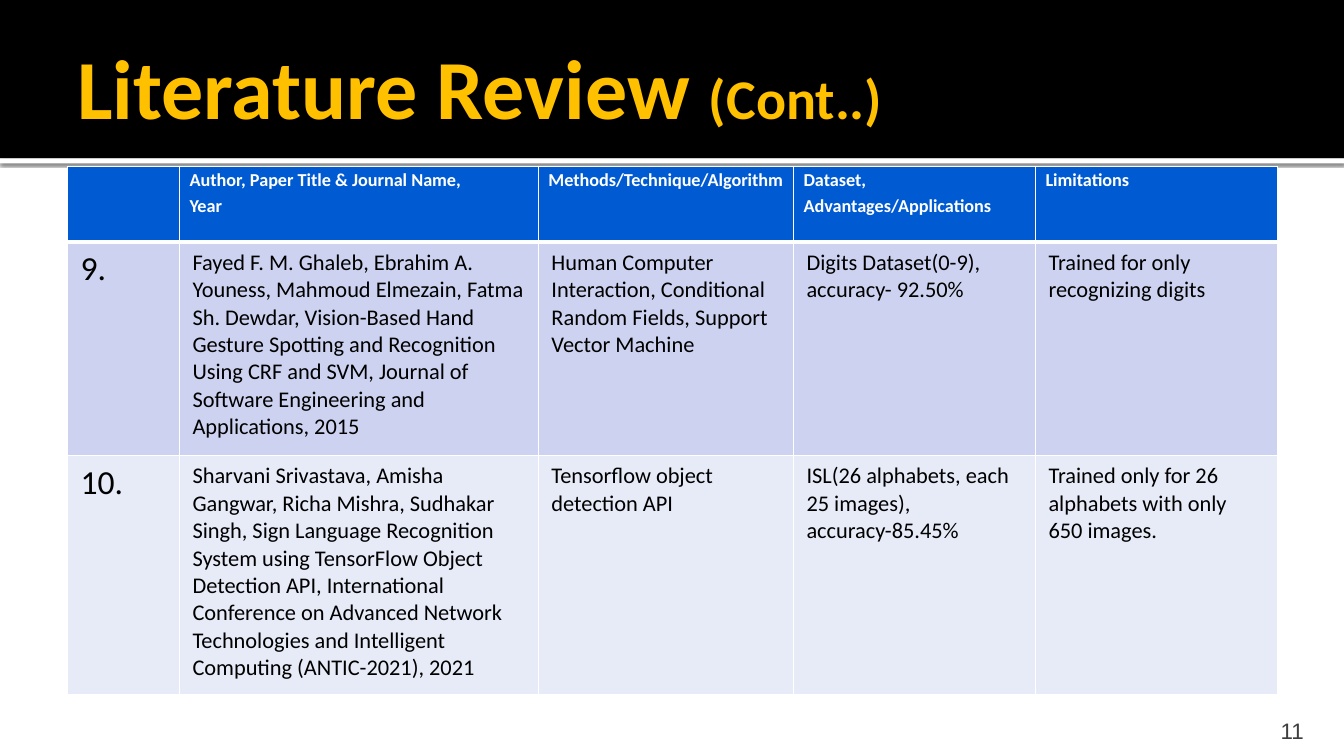
from dataclasses import dataclass

import lxml.etree
import pptx
import pptx.dml.color
import pptx.enum.shapes
import pptx.enum.text
import pptx.oxml
import pptx.oxml.ns
import pptx.util

EMU_PER_PX = 9144  # 100 px to the inch
COLORS = {
    "black": "000000", "white": "FFFFFF", "title": "FFC000", "number": "3F3F3F",
    "header": "005BD3", "odd row": "CCD2EF", "even row": "E7EAF7",
}
ANCHOR = pptx.enum.text.MSO_ANCHOR
ALIGN = pptx.enum.text.PP_ALIGN


@dataclass
class Area:
    left: int
    top: int
    width: int
    height: int

    def emu(self) -> list[int]:
        return [px(n) for n in (self.left, self.top, self.width, self.height)]


@dataclass
class Style:
    size: int
    color: str
    bold: bool = False
    font: str = "Calibri"


@dataclass
class TableRow:
    height: int
    fill: str
    texts: list[str]
    styles: list[Style]
    inset_x: int
    inset_y: int
    spacing: float | None = None


def px(count: int) -> int:
    return pptx.util.Emu(count * EMU_PER_PX)


def rgb(name: str) -> pptx.dml.color.RGBColor:
    return pptx.dml.color.RGBColor.from_string(COLORS[name])


def style_span(span, style: Style) -> None:
    span.font.size = pptx.util.Pt(style.size)
    span.font.name = style.font
    span.font.bold = style.bold
    span.font.color.rgb = rgb(style.color)


def add_bar(page, area: Area, color: str):
    bar = page.shapes.add_shape(pptx.enum.shapes.MSO_SHAPE.RECTANGLE, *area.emu())
    bar.shadow.inherit = False
    bar.fill.solid()
    bar.fill.fore_color.rgb = rgb(color)
    bar.line.fill.background()
    return bar


def add_drop_shadow(bar) -> None:
    effects = bar._element.spPr.find(pptx.oxml.ns.qn("a:effectLst"))
    effects.append(pptx.oxml.parse_xml(
        f'<a:outerShdw {pptx.oxml.ns.nsdecls("a")} blurRad="31750" dist="10160" '
        f'dir="5400000" rotWithShape="0"><a:srgbClr val="{COLORS["black"]}">'
        '<a:alpha val="60000"/></a:srgbClr></a:outerShdw>'))


def add_text(page, area: Area, spans: list[tuple[str, Style]], anchor,
             align, insets: tuple[int, int, int, int]) -> None:
    frame = page.shapes.add_textbox(*area.emu()).text_frame
    frame.word_wrap = True
    frame.vertical_anchor = anchor
    (frame.margin_left, frame.margin_top,
     frame.margin_right, frame.margin_bottom) = map(px, insets)
    para = frame.paragraphs[0]
    para.alignment = align
    for text, style in spans:
        span = para.add_run()
        span.text = text
        style_span(span, style)


def add_borders(cell, top: int, bottom: int) -> None:
    properties = cell._tc.get_or_add_tcPr()
    for side, points in (("L", 1), ("R", 1), ("T", top), ("B", bottom)):
        line = lxml.etree.SubElement(properties, pptx.oxml.ns.qn(f"a:ln{side}"),
                                     w=str(pptx.util.Pt(points)))
        fill = lxml.etree.SubElement(line, pptx.oxml.ns.qn("a:solidFill"))
        lxml.etree.SubElement(fill, pptx.oxml.ns.qn("a:srgbClr"), val=COLORS["white"])


def fill_cell(cell, text: str, style: Style, row: TableRow) -> None:
    cell.fill.solid()
    cell.fill.fore_color.rgb = rgb(row.fill)
    cell.margin_left = cell.margin_right = px(row.inset_x)
    cell.margin_top = cell.margin_bottom = px(row.inset_y)
    cell.text_frame.text = text
    for para in cell.text_frame.paragraphs:
        if row.spacing:
            para.line_spacing = row.spacing
        for span in para.runs:
            style_span(span, style)


def add_review_table(page, area: Area, widths: list[int], rows: list[TableRow]) -> None:
    table = page.shapes.add_table(len(rows), len(widths), *area.emu()).table
    for column, width in zip(table.columns, widths):
        column.width = px(width)
    for index, row in enumerate(rows):
        table.rows[index].height = px(row.height)
        for position, (text, style) in enumerate(zip(row.texts, row.styles)):
            cell = table.cell(index, position)
            add_borders(cell, top=3 if index == 1 else 1, bottom=3 if index == 0 else 1)
            fill_cell(cell, text, style, row)


HEADING = Style(13, "white", bold=True)
BODY = [Style(24, "black")] + [Style(16, "black")] * 4
WIDTHS = [111, 356, 253, 240, 240]
ROWS = [
    TableRow(75, "header", [
        "",
        "Author, Paper Title & Journal Name,\nYear",
        "Methods/Technique/Algorithm",
        "Dataset, Advantages/Applications",
        "Limitations",
    ], [HEADING] * 5, 10, 0, 1.15),
    TableRow(212, "odd row", [
        "9.",
        "Fayed F. M. Ghaleb, Ebrahim A. Youness, Mahmoud Elmezain, Fatma Sh. Dewdar, "
        "Vision-Based Hand Gesture Spotting and Recognition Using CRF and SVM, "
        "Journal of Software Engineering and Applications, 2015",
        "Human Computer Interaction, Conditional Random Fields, Support Vector Machine",
        "Digits Dataset(0-9), accuracy- 92.50%",
        "Trained for only recognizing digits",
    ], BODY, 13, 7),
    TableRow(237, "even row", [
        "10.",
        "Sharvani Srivastava, Amisha Gangwar, Richa Mishra, Sudhakar Singh, "
        "Sign Language Recognition System using TensorFlow Object Detection API, "
        "International Conference on Advanced Network Technologies and Intelligent "
        "Computing (ANTIC-2021), 2021",
        "Tensorflow object detection API",
        "ISL(26 alphabets, each 25 images), accuracy-85.45%",
        "Trained only for 26 alphabets with only 650 images.",
    ], BODY, 13, 7),
]


def main() -> None:
    deck = pptx.Presentation()
    deck.slide_width, deck.slide_height = px(1333), px(750)
    page = deck.slides.add_slide(deck.slide_layouts[6])

    # Title band
    add_drop_shadow(add_bar(page, Area(0, 157, 1333, 5), "white"))
    add_bar(page, Area(0, 0, 1333, 157), "black")
    add_text(page, Area(67, 17, 1200, 137),
             [("Literature Review ", Style(60, "title", bold=True)),
              ("(Cont..)", Style(40, "title", bold=True))],
             ANCHOR.MIDDLE, ALIGN.LEFT, (10, 5, 5, 5))

    # Page number
    add_text(page, Area(1196, 708, 107, 30),
             [("11", Style(16, "number", font="Arial"))],
             ANCHOR.BOTTOM, ALIGN.RIGHT, (10, 5, 10, 0))

    # Reviewed papers
    table_area = Area(67, 165, sum(WIDTHS), sum(row.height for row in ROWS))
    add_review_table(page, table_area, WIDTHS, ROWS)

    deck.save("out.pptx")


if __name__ == "__main__":
    main()
